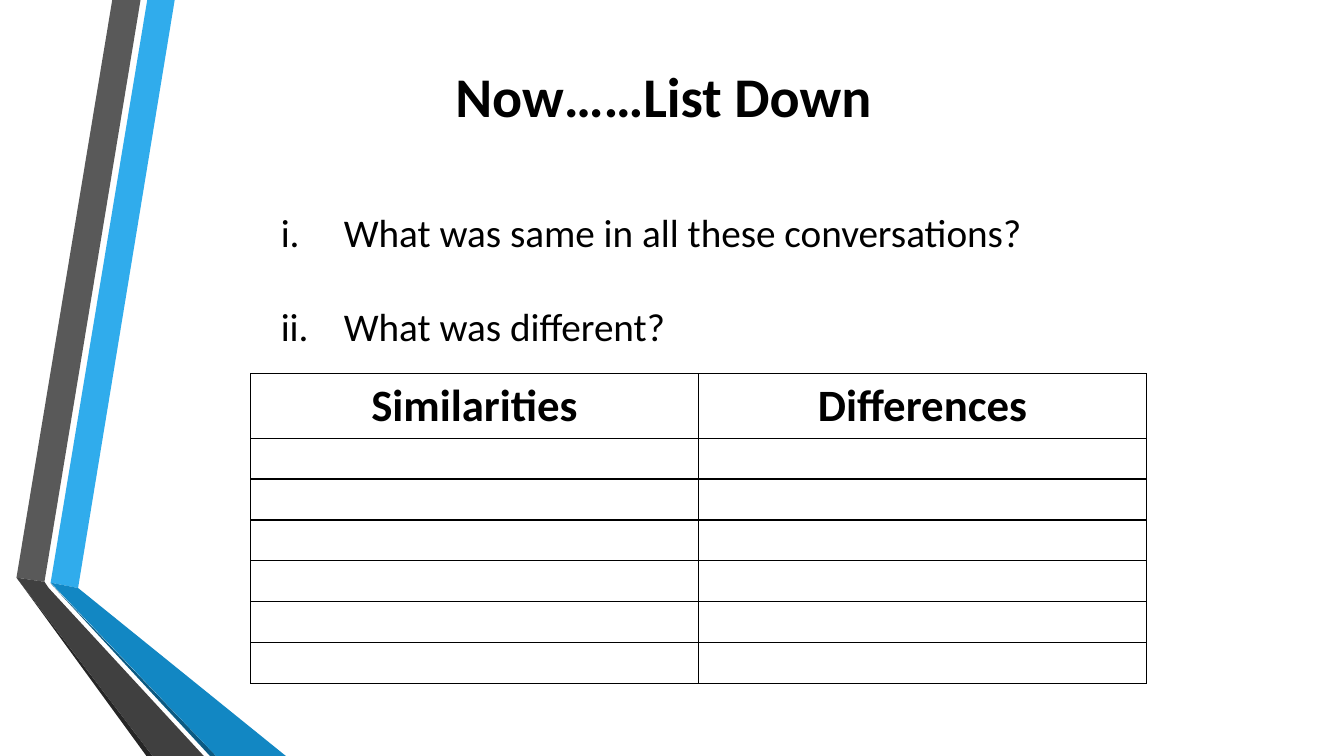
from lxml.etree import SubElement
from pptx import Presentation
from pptx.dml.color import RGBColor
from pptx.enum.text import MSO_ANCHOR as Anchor, MSO_AUTO_SIZE as AutoSize, PP_ALIGN as Align
from pptx.oxml.ns import qn
from pptx.util import Pt

BLACK = RGBColor(0x00, 0x00, 0x00)
SKY = RGBColor(0x30, 0xAC, 0xEC)
BLUE = RGBColor(0x12, 0x87, 0xC3)
NAVY = RGBColor(0x0C, 0x5A, 0x82)
GREY = RGBColor(0x59, 0x59, 0x59)
CHARCOAL = RGBColor(0x40, 0x40, 0x40)
SOOT = RGBColor(0x26, 0x26, 0x26)
FONT = "Calibri"

RIBBONS = [
    (SKY, [(24.4, 416.2), (44, 420), (113, 0), (93.4, 0)]),
    (GREY, [(88.6, 0), (68.4, 0), (0, 412.6), (20, 415.6)]),
    (SOOT, [(0, 412.6), (92.8, 540), (97.2, 540)]),
    (NAVY, [(24.4, 416.8), (138.2, 540), (142.6, 540)]),
    (BLUE, [(24.4, 416.2), (142.6, 540), (192.4, 540), (44, 420)]),
    (CHARCOAL, [(133.8, 540), (23, 420), (20, 415.6), (0, 412.6), (97.2, 540)]),
]
QUESTIONS = ["What was same in all these conversations?", "What was different?"]
HEADINGS = ["Similarities", "Differences"]
BLANK_ROWS = 6


def add_run(paragraph, text, size, bold=False):
    """Add one formatted run to a paragraph."""
    run = paragraph.add_run()
    run.text = text
    run.font.name = FONT
    run.font.size = Pt(size)
    run.font.bold = bold
    run.font.color.rgb = BLACK


def add_ribbons(slide, left, top):
    """Draw the folded ribbons from the given corner."""
    for colour, points in RIBBONS:
        start, *others = [(Pt(left + x), Pt(top + y)) for x, y in points]
        builder = slide.shapes.build_freeform(*start)
        builder.add_line_segments(others, close=True)
        shape = builder.convert_to_shape()
        shape.shadow.inherit = False
        shape.fill.solid()
        shape.fill.fore_color.rgb = colour
        shape.line.fill.background()


def add_title(slide, left, top, width, height):
    """Place the title in its box."""
    title = slide.shapes.title
    title.left, title.top, title.width, title.height = map(Pt, (left, top, width, height))
    frame = title.text_frame
    frame.word_wrap = True
    frame.auto_size = AutoSize.NONE
    frame.vertical_anchor = Anchor.TOP
    paragraph = frame.paragraphs[0]
    paragraph.alignment = Align.LEFT
    add_run(paragraph, "Now……List Down", 40, bold=True)


def add_questions(slide, left, top, width, height):
    """List the questions with roman numerals."""
    frame = slide.shapes.add_textbox(*map(Pt, (left, top, width, height))).text_frame
    frame.word_wrap = True
    for index, question in enumerate(QUESTIONS):
        paragraph = frame.add_paragraph() if index else frame.paragraphs[0]
        paragraph.line_spacing = 2.0
        properties = paragraph._p.get_or_add_pPr()
        properties.set("marL", str(Pt(45)))
        properties.set("indent", str(Pt(-45)))
        SubElement(properties, qn("a:buFont"), typeface="+mj-lt")
        SubElement(properties, qn("a:buAutoNum"), type="romanLcPeriod")
        add_run(paragraph, question, 28)


def outline_cell(cell):
    """Give a cell thin black borders and no fill."""
    properties = cell._tc.get_or_add_tcPr()
    for side in ("lnL", "lnR", "lnT", "lnB"):
        border = SubElement(properties, qn(f"a:{side}"), w=str(Pt(1)))
        fill = SubElement(border, qn("a:solidFill"))
        SubElement(fill, qn("a:srgbClr"), val=str(BLACK))
    cell.fill.background()


def add_comparison(slide, left, top, width, height):
    """Build the comparison table with blank rows to fill in."""
    header_height = 46
    box = map(Pt, (left, top, width, height))
    table = slide.shapes.add_table(BLANK_ROWS + 1, len(HEADINGS), *box).table
    table.first_row = False
    table.horz_banding = False
    for column in table.columns:
        column.width = Pt(width / len(HEADINGS))
    for index, row in enumerate(table.rows):
        row.height = Pt((height - header_height) / BLANK_ROWS if index else header_height)
    for cell in table.iter_cells():
        outline_cell(cell)
    for column, heading in enumerate(HEADINGS):
        paragraph = table.cell(0, column).text_frame.paragraphs[0]
        paragraph.alignment = Align.CENTER
        add_run(paragraph, heading, 32, bold=True)


def main():
    """Build and save the slide."""
    presentation = Presentation()
    presentation.slide_width = Pt(960)
    presentation.slide_height = Pt(540)
    slide = presentation.slides.add_slide(presentation.slide_layouts[5])
    add_ribbons(slide, 11.8, 0)
    add_questions(slide, 193.5, 111.5, 587, 133)
    add_title(slide, 318, 40.5, 342, 55.5)
    add_comparison(slide, 179, 267, 640, 221.2)
    presentation.save("out.pptx")


if __name__ == "__main__":
    main()
